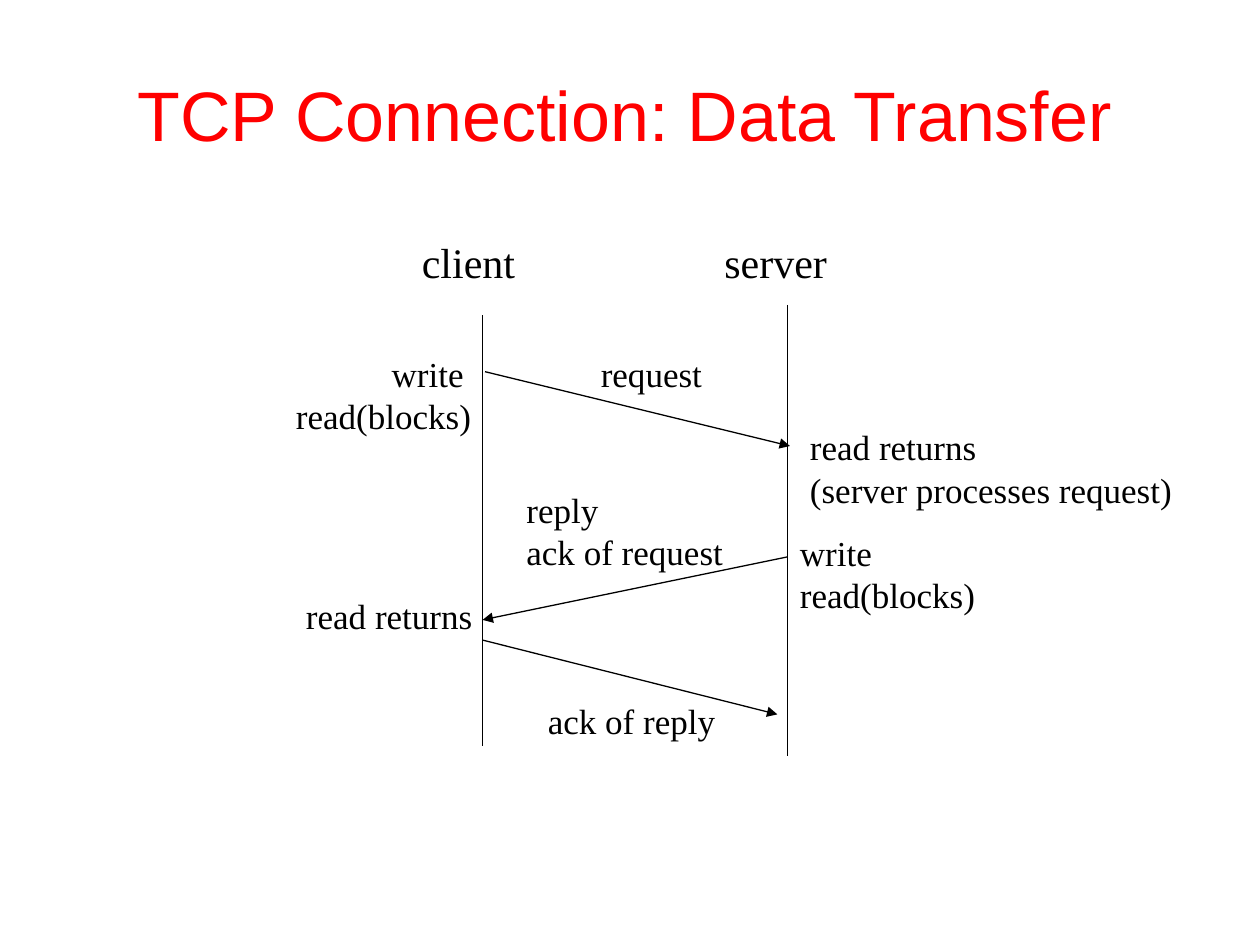
from lxml.etree import SubElement
from pptx import Presentation
from pptx.dml.color import RGBColor
from pptx.enum.shapes import MSO_CONNECTOR
from pptx.enum.text import MSO_ANCHOR, MSO_AUTO_SIZE, PP_ALIGN
from pptx.oxml.ns import qn
from pptx.util import Inches, Pt

COLORS = {"title": "FF0000", "ink": "000000"}
SERIF, SANS = "Times New Roman", "Arial"
UNIT = 1 / 12  # grid step in inches; all places below are in grid steps
CLIENT, SERVER = 46, 75  # columns of the two lifelines

TITLE = "TCP Connection: Data Transfer"
# column, row, width, lines
HEADINGS = [
    (39, 22, 11.3, ["client"]),
    (67.8, 22, 12.2, ["server"]),
]
LABELS = [
    (27, 33, 19.1, ["write", "read(blocks)"]),
    (76, 40, 18.2, ["read returns"]),
    (SERVER, 50, 19.1, ["write", "read(blocks)"]),
    (76, 44, 36.8, ["(server processes request)"]),
    (28, 56, 18.2, ["read returns"]),
    (56, 33, 12, ["request"]),
    (49, 46, 21.1, ["reply", "ack of request"]),
    (51, 66, 18.4, ["ack of reply"]),
]
CLIENT_WRITE_INDENT = 9.15
# start column, start row, end column, end row
LIFELINES = [(SERVER, 29, SERVER, 72), (CLIENT, 30, CLIENT, 71)]
MESSAGES = [
    (46.2, 35.4, 75.2, 42.5),
    (SERVER, 53, CLIENT, 59),
    (CLIENT, 61, 74, 68),
]


def grid(steps):
    return Inches(round(steps * UNIT, 2))


def write(frame, lines, size, font=SERIF, color="ink", first_indent=0):
    frame.word_wrap = False
    frame.auto_size = MSO_AUTO_SIZE.NONE
    frame.vertical_anchor = MSO_ANCHOR.TOP
    for i, line in enumerate(lines):
        para = frame.paragraphs[0] if i == 0 else frame.add_paragraph()
        para.alignment = PP_ALIGN.LEFT
        if i == 0 and first_indent:
            para._p.get_or_add_pPr().set("marL", str(grid(first_indent)))
        run = para.add_run()
        run.text = line
        run.font.size, run.font.name = Pt(size), font
        run.font.color.rgb = RGBColor.from_string(COLORS[color])


def add_label(slide, column, row, width, lines, size, **style):
    height = Inches(0.1 + len(lines) * size / 60)
    box = slide.shapes.add_textbox(grid(column), grid(row), grid(width), height)
    write(box.text_frame, lines, size, **style)


def add_line(slide, ends, arrow=False):
    line = slide.shapes.add_connector(MSO_CONNECTOR.STRAIGHT, *map(grid, ends))
    line.line.width = Pt(0.75)
    line.line.color.rgb = RGBColor.from_string(COLORS["ink"])
    if arrow:
        SubElement(line.line._get_or_add_ln(), qn("a:tailEnd"), type="triangle")
    SubElement(line._element.spPr, qn("a:effectLst"))


def main():
    prs = Presentation()
    prs.slide_width, prs.slide_height = Inches(10), Inches(7.5)
    slide = prs.slides.add_slide(prs.slide_layouts[5])

    title = slide.shapes.title
    title.left, title.top = Inches(0.99), Inches(0.52)
    title.width, title.height = Inches(7.97), Inches(0.77)
    write(title.text_frame, [TITLE], 40, font=SANS, color="title")

    for ends in LIFELINES:
        add_line(slide, ends)
    for ends in MESSAGES:
        add_line(slide, ends, arrow=True)
    for heading in HEADINGS:
        add_label(slide, *heading, size=24)
    for i, label in enumerate(LABELS):
        indent = CLIENT_WRITE_INDENT if i == 0 else 0
        add_label(slide, *label, size=20, first_indent=indent)

    prs.save("out.pptx")


if __name__ == "__main__":
    main()
